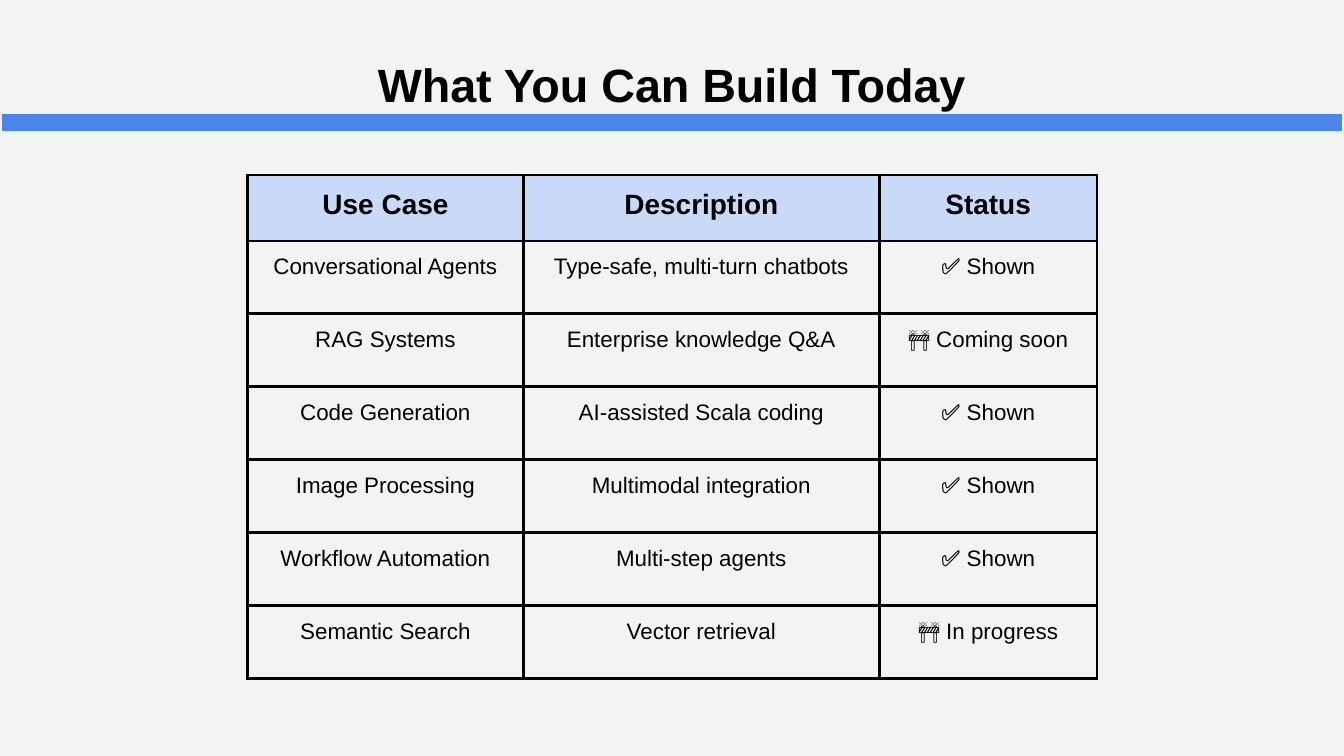
from lxml.etree import SubElement
from pptx import Presentation
from pptx.dml.color import RGBColor
from pptx.enum.shapes import MSO_CONNECTOR
from pptx.enum.text import MSO_ANCHOR, PP_ALIGN
from pptx.oxml.ns import qn
from pptx.util import Cm, Pt

HEADINGS = ("Use Case", "Description", "Status")
USE_CASES = [
    ("Conversational Agents", "Type-safe, multi-turn chatbots", "✅ Shown"),
    ("RAG Systems", "Enterprise knowledge Q&A", "🚧 Coming soon"),
    ("Code Generation", "AI-assisted Scala coding", "✅ Shown"),
    ("Image Processing", "Multimodal integration", "✅ Shown"),
    ("Workflow Automation", "Multi-step agents", "✅ Shown"),
    ("Semantic Search", "Vector retrieval", "🚧 In progress"),
]
COLUMN_WIDTHS = (5.21, 6.73, 4.11)
HEADING_HEIGHT, USE_CASE_HEIGHT = 1.24, 1.38
BLACK, PAPER, BLUE, PALE_BLUE = "000000", "F3F3F3", "4A86E8", "C9DAF8"


def colour(hex_value):
    return RGBColor.from_string(hex_value)


def apply(target, values):
    for name, value in values.items():
        setattr(target, name, value)


def write(frame, words, size, bold):
    line = frame.paragraphs[0]
    apply(line, {"alignment": PP_ALIGN.CENTER, "line_spacing": 1.15})
    run = line.add_run()
    run.text = words
    apply(run.font, {"name": "Arial", "size": Pt(size), "bold": bold})
    run.font.color.rgb = colour(BLACK)


def add_title(slide, left, top, width, height):
    frame = slide.shapes.add_textbox(Cm(left), Cm(top), Cm(width), Cm(height)).text_frame
    apply(frame, {"word_wrap": True, "vertical_anchor": MSO_ANCHOR.TOP,
                  "margin_top": Cm(0.34), "margin_bottom": 0})
    write(frame, "What You Can Build Today", 25, True)


def add_rule(slide, left, top, width):
    rule = slide.shapes.add_connector(MSO_CONNECTOR.STRAIGHT, Cm(left), Cm(top),
                                      Cm(left + width), Cm(top))
    rule.line.color.rgb = colour(BLUE)
    rule.line.width = Pt(9)
    SubElement(rule._element.spPr, qn("a:effectLst"))


def add_borders(cell):
    properties = cell._tc.get_or_add_tcPr()
    for side in ("a:lnL", "a:lnR", "a:lnT", "a:lnB"):
        border = SubElement(properties, qn(side), w=str(Pt(1.5)))
        fill = SubElement(border, qn("a:solidFill"))
        SubElement(fill, qn("a:srgbClr"), val=BLACK)


def add_use_cases(slide, left, top, width, height):
    rows = [HEADINGS, *USE_CASES]
    table = slide.shapes.add_table(len(rows), len(HEADINGS), Cm(left), Cm(top),
                                   Cm(width), Cm(height)).table
    apply(table, {"first_row": False, "horz_banding": False})
    for column, column_width in zip(table.columns, COLUMN_WIDTHS):
        column.width = Cm(column_width)

    margins = dict.fromkeys(
        ("margin_left", "margin_right", "margin_top", "margin_bottom"), Cm(0.18))
    for r, entries in enumerate(rows):
        heading = r == 0
        table.rows[r].height = Cm(HEADING_HEIGHT if heading else USE_CASE_HEIGHT)
        for c, words in enumerate(entries):
            cell = table.cell(r, c)
            apply(cell, {**margins, "vertical_anchor": MSO_ANCHOR.TOP})
            add_borders(cell)
            if heading:
                cell.fill.solid()
                cell.fill.fore_color.rgb = colour(PALE_BLUE)
            else:
                cell.fill.background()
            write(cell.text_frame, words, 15 if heading else 12, heading)


def main():
    deck = Presentation()
    apply(deck, {"slide_width": Cm(25.4), "slide_height": Cm(14.29)})
    slide = deck.slides.add_slide(deck.slide_layouts[6])
    slide.background.fill.solid()
    slide.background.fill.fore_color.rgb = colour(PAPER)

    # Heading with the rule below it
    add_title(slide, 0.86, 0.56, 23.67, 1.24)
    add_rule(slide, 0.03, 2.32, 25.34)

    # Table of use cases
    add_use_cases(slide, 4.68, 3.31, sum(COLUMN_WIDTHS),
                  HEADING_HEIGHT + USE_CASE_HEIGHT * len(USE_CASES))
    deck.save("out.pptx")


if __name__ == "__main__":
    main()
